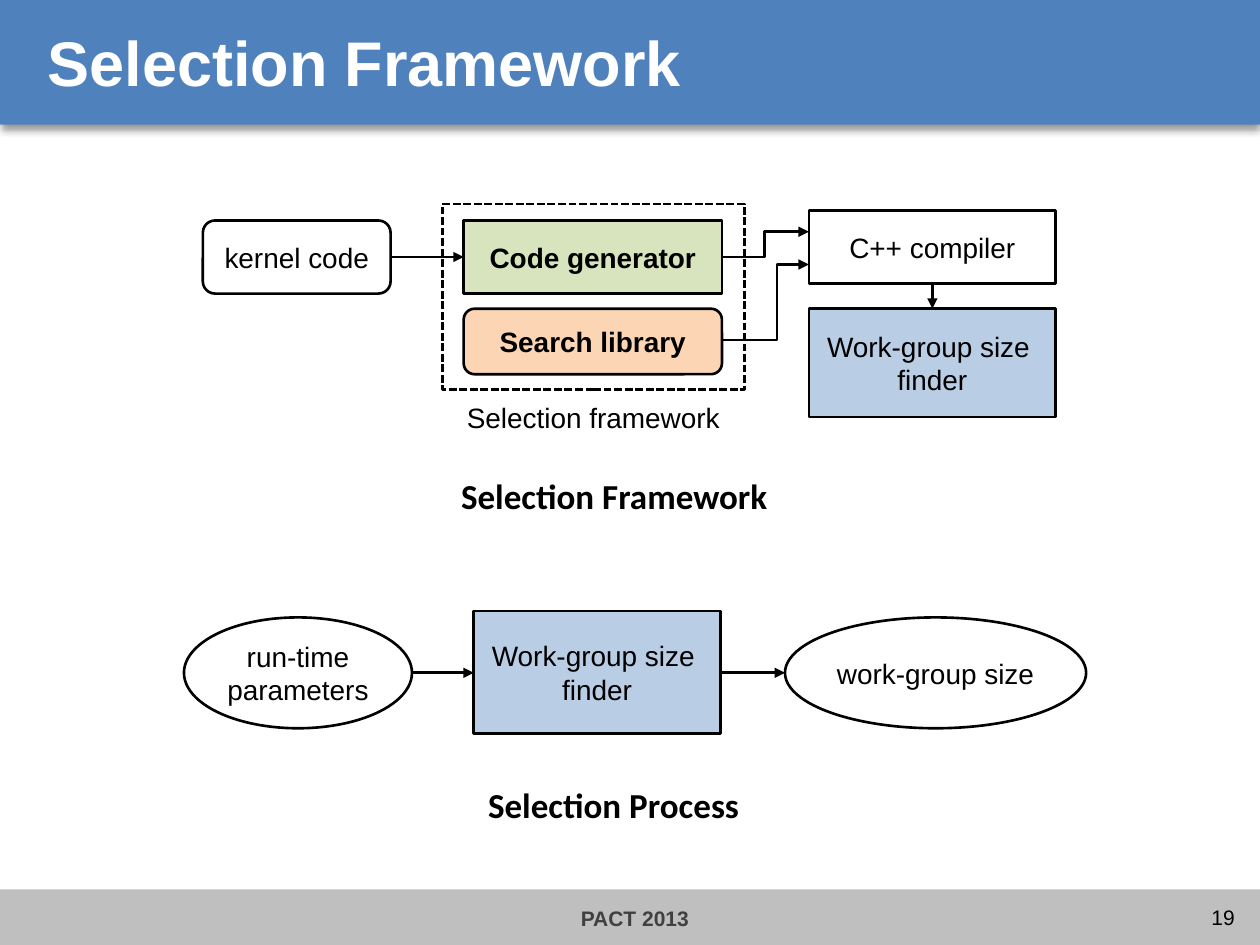
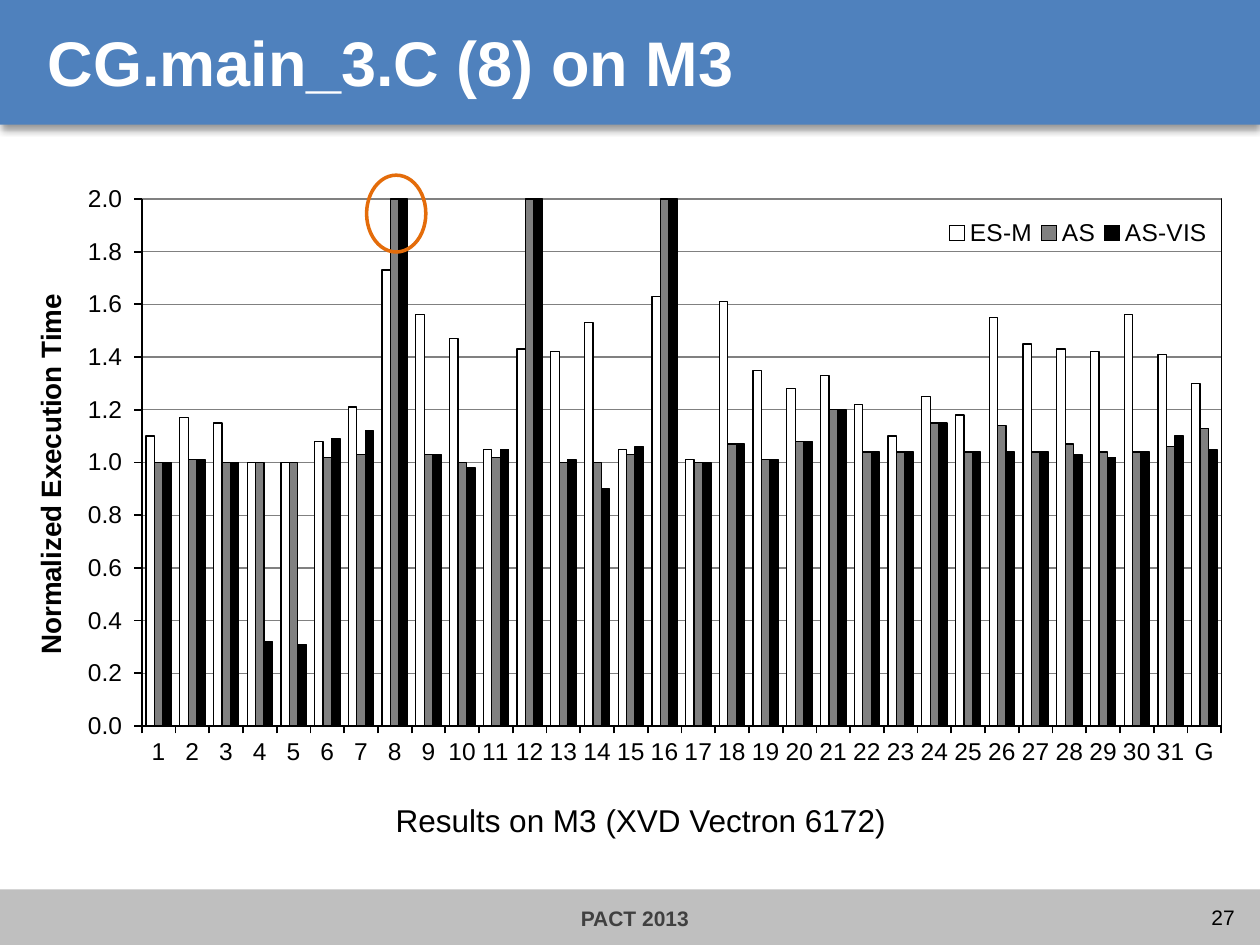
from lxml import etree
from pptx import Presentation
from pptx.chart.data import CategoryChartData
from pptx.dml.color import RGBColor
from pptx.enum.chart import XL_CHART_TYPE, XL_LEGEND_POSITION, XL_TICK_MARK
from pptx.enum.dml import MSO_LINE
from pptx.enum.shapes import MSO_CONNECTOR, MSO_SHAPE
from pptx.enum.text import MSO_ANCHOR, PP_ALIGN
from pptx.oxml.ns import qn
from pptx.util import Inches, Pt

BLACK = RGBColor(0x00, 0x00, 0x00)
WHITE = RGBColor(0xFF, 0xFF, 0xFF)
BLUE = RGBColor(0x4F, 0x81, 0xBD)
PALE_BLUE = RGBColor(0xB9, 0xCD, 0xE5)
GREEN = RGBColor(0xD7, 0xE4, 0xBD)
PEACH = RGBColor(0xFC, 0xD5, 0xB5)
ORANGE = RGBColor(0xE4, 0x6C, 0x0A)
BAND_GRAY = RGBColor(0xBF, 0xBF, 0xBF)
MID_GRAY = RGBColor(0x80, 0x80, 0x80)
DARK_GRAY = RGBColor(0x40, 0x40, 0x40)

RECT = MSO_SHAPE.RECTANGLE
ROUND = MSO_SHAPE.ROUNDED_RECTANGLE
OVAL = MSO_SHAPE.OVAL
STRAIGHT = MSO_CONNECTOR.STRAIGHT
ELBOW = MSO_CONNECTOR.ELBOW
DASHED = MSO_LINE.SQUARE_DOT
LEFT, CENTER, RIGHT = PP_ALIGN.LEFT, PP_ALIGN.CENTER, PP_ALIGN.RIGHT
MIDDLE = MSO_ANCHOR.MIDDLE
CLUSTERED = XL_CHART_TYPE.COLUMN_CLUSTERED
LEGEND_TOP = XL_LEGEND_POSITION.TOP
TICK_OUT = XL_TICK_MARK.OUTSIDE

COLUMNS, ROWS = 100, 75
WIDTH, HEIGHT = Inches(10), Inches(7.5)
SANS, CAPTION_FONT = "Arial", "Calibri"
FINDER = "Work-group size \vfinder"

RESULTS = {
    "ES-M": (WHITE, [
        1.1, 1.17, 1.15, 1, 1, 1.08, 1.21, 1.73, 1.56, 1.47, 1.05,
        1.43, 1.42, 1.53, 1.05, 1.63, 1.01, 1.61, 1.35, 1.28, 1.33, 1.22,
        1.1, 1.25, 1.18, 1.55, 1.45, 1.43, 1.42, 1.56, 1.41, 1.3]),
    "AS": (MID_GRAY, [
        1, 1.01, 1, 1, 1, 1.02, 1.03, 2.47, 1.03, 1, 1.02,
        2.53, 1, 1, 1.03, 2.48, 1, 1.07, 1.01, 1.08, 1.2, 1.04,
        1.04, 1.15, 1.04, 1.14, 1.04, 1.07, 1.04, 1.04, 1.06, 1.13]),
    "AS-VIS": (BLACK, [
        1, 1.01, 1, 0.32, 0.31, 1.09, 1.12, 2.48, 1.03, 0.98, 1.05,
        2.55, 1.01, 0.9, 1.06, 2.5, 1, 1.07, 1.01, 1.08, 1.2, 1.04,
        1.04, 1.15, 1.04, 1.04, 1.04, 1.03, 1.02, 1.04, 1.1, 1.05]),
}


def add_xml(parent, tag, **attributes):
    return etree.SubElement(parent, qn(tag), attributes)


def manual_layout(share, inner=False):
    layout = etree.Element(qn("c:layout"))
    manual = add_xml(layout, "c:manualLayout")
    if inner:
        add_xml(manual, "c:layoutTarget", val="inner")
    for side in ("xMode", "yMode"):
        add_xml(manual, f"c:{side}", val="edge")
    for side, value in zip("xywh", share):
        add_xml(manual, f"c:{side}", val=str(value))
    return layout


def drop_layout(parent):
    for layout in parent.findall(qn("c:layout")):
        parent.remove(layout)


class Deck:
    def __init__(self):
        self.show = Presentation()
        self.show.slide_width, self.show.slide_height = WIDTH, HEIGHT
        self.slide = None

    def grid(self, *lengths):
        steps = (WIDTH / COLUMNS, HEIGHT / ROWS)
        return [round(length * steps[i % 2]) for i, length in enumerate(lengths)]

    def set_text(self, frame, words, size, color=BLACK, bold=False, align=CENTER,
                 font=SANS, inset=True, wrap=True):
        frame.word_wrap = wrap
        frame.vertical_anchor = MIDDLE
        if not inset:
            frame.margin_left = frame.margin_right = 0
            frame.margin_top = frame.margin_bottom = 0
        frame.text = words
        for paragraph in frame.paragraphs:
            paragraph.alignment = align
            paragraph.font.name = font
            paragraph.font.size = Pt(size)
            paragraph.font.bold = bold
            paragraph.font.color.rgb = color

    def text(self, area, words, size=16, **style):
        box = self.slide.shapes.add_textbox(*self.grid(*area))
        self.set_text(box.text_frame, words, size, **style)

    def box(self, area, words="", kind=RECT, fill=None, line=BLACK, weight=1.5,
            dash=None, **style):
        shape = self.slide.shapes.add_shape(kind, *self.grid(*area))
        shape.shadow.inherit = False
        if fill is None:
            shape.fill.background()
        else:
            shape.fill.solid()
            shape.fill.fore_color.rgb = fill
        if line is None:
            shape.line.fill.background()
        else:
            shape.line.color.rgb = line
            shape.line.width = Pt(weight)
            if dash:
                shape.line.dash_style = dash
        if words:
            self.set_text(shape.text_frame, words, 16, **style)
        return shape

    def arrow(self, start, end, kind=STRAIGHT, bend=None):
        connector = self.slide.shapes.add_connector(kind, *self.grid(*start, *end))
        connector.line.color.rgb = BLACK
        connector.line.width = Pt(1.5)
        properties = connector._element.spPr
        add_xml(properties.find(qn("a:ln")), "a:tailEnd", type="triangle")
        add_xml(properties, "a:effectLst")
        if bend:
            guides = properties.find(qn("a:prstGeom")).find(qn("a:avLst"))
            add_xml(guides, "a:gd", name="adj1", fmla=f"val {round(bend * 100000)}")

    def new_slide(self, title, number):
        self.slide = self.show.slides.add_slide(self.show.slide_layouts[6])
        self.box((0, 70.6, COLUMNS, 4.4), fill=BAND_GRAY, line=None)
        band = self.box((0, 0, COLUMNS, 9.9), fill=BLUE, line=None)
        effects = band._element.spPr.find(qn("a:effectLst"))
        shadow = add_xml(effects, "a:outerShdw", blurRad=str(Pt(4)), dist=str(Pt(3)),
                         dir="5400000", algn="t", rotWithShape="0")
        add_xml(add_xml(shadow, "a:srgbClr", val=str(BLACK)), "a:alpha", val="40000")
        self.text((46.1, 71.9, 8.7, 2), "PACT 2013", 12, color=DARK_GRAY, bold=True,
                  align=LEFT, inset=False, wrap=False)
        self.text((2.8, 1.3, 94.5, 7.1), title, 36, color=WHITE, bold=True, align=LEFT)
        self.text((90.9, 71.6, 7.1, 2.4), number, 12, align=RIGHT, inset=False)

    def column_chart(self, area, categories, results, axis_title, plot, legend):
        data = CategoryChartData()
        data.categories = categories
        for name, (_, values) in results.items():
            data.add_series(name, values)
        chart = self.slide.shapes.add_chart(CLUSTERED, *self.grid(*area), data).chart
        chart.font.name, chart.font.size = SANS, Pt(14)
        chart.font.color.rgb = BLACK
        chart.has_title = False

        bars = chart.plots[0]
        bars.gap_width, bars.vary_by_categories = 100, False
        for series in bars.series:
            series.invert_if_negative = False
            series.format.fill.solid()
            series.format.fill.fore_color.rgb = results[series.name][0]
            series.format.line.color.rgb = BLACK
            series.format.line.width = Pt(0.75)

        for axis in (chart.category_axis, chart.value_axis):
            axis.major_tick_mark = TICK_OUT
            axis.format.line.color.rgb = BLACK
            axis.format.line.width = Pt(1)
        scale = chart.value_axis
        scale.minimum_scale, scale.maximum_scale, scale.major_unit = 0, 2, 0.2
        scale.tick_labels.number_format = r"#,##0.0_);[Red]\(#,##0.0\)"
        scale.tick_labels.number_format_is_linked = False
        scale.major_gridlines.format.line.color.rgb = MID_GRAY
        scale.major_gridlines.format.line.width = Pt(0.75)
        scale.axis_title.text_frame.text = axis_title
        font = scale.axis_title.text_frame.paragraphs[0].font
        font.name, font.size, font.bold = SANS, Pt(16), True
        font.color.rgb = BLACK

        chart.has_legend = True
        chart.legend.position = LEGEND_TOP
        chart.legend.include_in_layout = True
        key = chart.legend._element
        drop_layout(key)
        key.find(qn("c:legendPos")).addnext(manual_layout(legend))
        plot_area = chart._chartSpace.find(qn("c:chart")).find(qn("c:plotArea"))
        drop_layout(plot_area)
        plot_area.insert(0, manual_layout(plot, inner=True))
        border = add_xml(add_xml(plot_area, "c:spPr"), "a:ln", w=str(Pt(0.75)))
        add_xml(add_xml(border, "a:solidFill"), "a:srgbClr", val=str(BLACK))

    def save(self):
        self.show.save("out.pptx")


def selection_framework(deck):
    deck.new_slide("Selection Framework", "19")
    deck.box((16.1, 17.5, 14.9, 5.8), "kernel code", ROUND)
    deck.box((36.8, 17.5, 20.5, 5.8), "Code generator", fill=GREEN, bold=True)
    deck.box((36.8, 24.5, 20.5, 5.2), "Search library", ROUND, fill=PEACH, bold=True)
    deck.box((35.1, 16.2, 24, 14.7), dash=DASHED)
    deck.text((35.1, 31, 24, 4.3), "Selection framework")
    deck.box((64.2, 16.7, 19.6, 5.8), "C++ compiler")
    deck.box((64.2, 24.5, 19.6, 8.6), FINDER, fill=PALE_BLUE)
    deck.arrow((31, 20.4), (36.8, 20.4))
    deck.arrow((57.2, 20.4), (64.2, 18.4), ELBOW)
    deck.arrow((57.2, 27), (64.2, 21), ELBOW, bend=0.64)
    deck.arrow((74, 22.4), (74, 24.5))
    deck.text((27.7, 36.7, 42.1, 5.2), "Selection Framework", 20, bold=True,
              font=CAPTION_FONT)

    deck.box((14.6, 49, 18.1, 8.8), "run-time\nparameters", OVAL, inset=False)
    deck.box((37.6, 48.5, 19.6, 9.7), FINDER, fill=PALE_BLUE)
    deck.box((62.3, 49, 23.9, 8.8), "work-group size", OVAL, inset=False, wrap=False)
    for start, end in ((32.7, 37.6), (57.2, 62.3)):
        deck.arrow((start, 53.4), (end, 53.4))
    deck.text((27.7, 61.1, 42, 5.5), "Selection Process", 20, bold=True,
              font=CAPTION_FONT)


def execution_times(deck):
    deck.new_slide("CG.main_3.C (8) on M3", "27")
    kernels = [str(number) for number in range(1, 32)] + ["G"]
    deck.column_chart((2.2, 14.7, 95.3, 47.2), kernels, RESULTS,
                      "Normalized Execution Time",
                      plot=(0.095, 0.017, 0.899, 0.892),
                      legend=(0.76, 0.045, 0.23, 0.06))
    deck.text((28, 63.5, 45.7, 3.1), "Results on M3 (XVD Vectron 6172)", 18)
    deck.box((29.1, 13.9, 4.7, 6.1), kind=OVAL, line=ORANGE, weight=2)


def main():
    deck = Deck()
    selection_framework(deck)
    execution_times(deck)
    deck.save()


if __name__ == "__main__":
    main()
